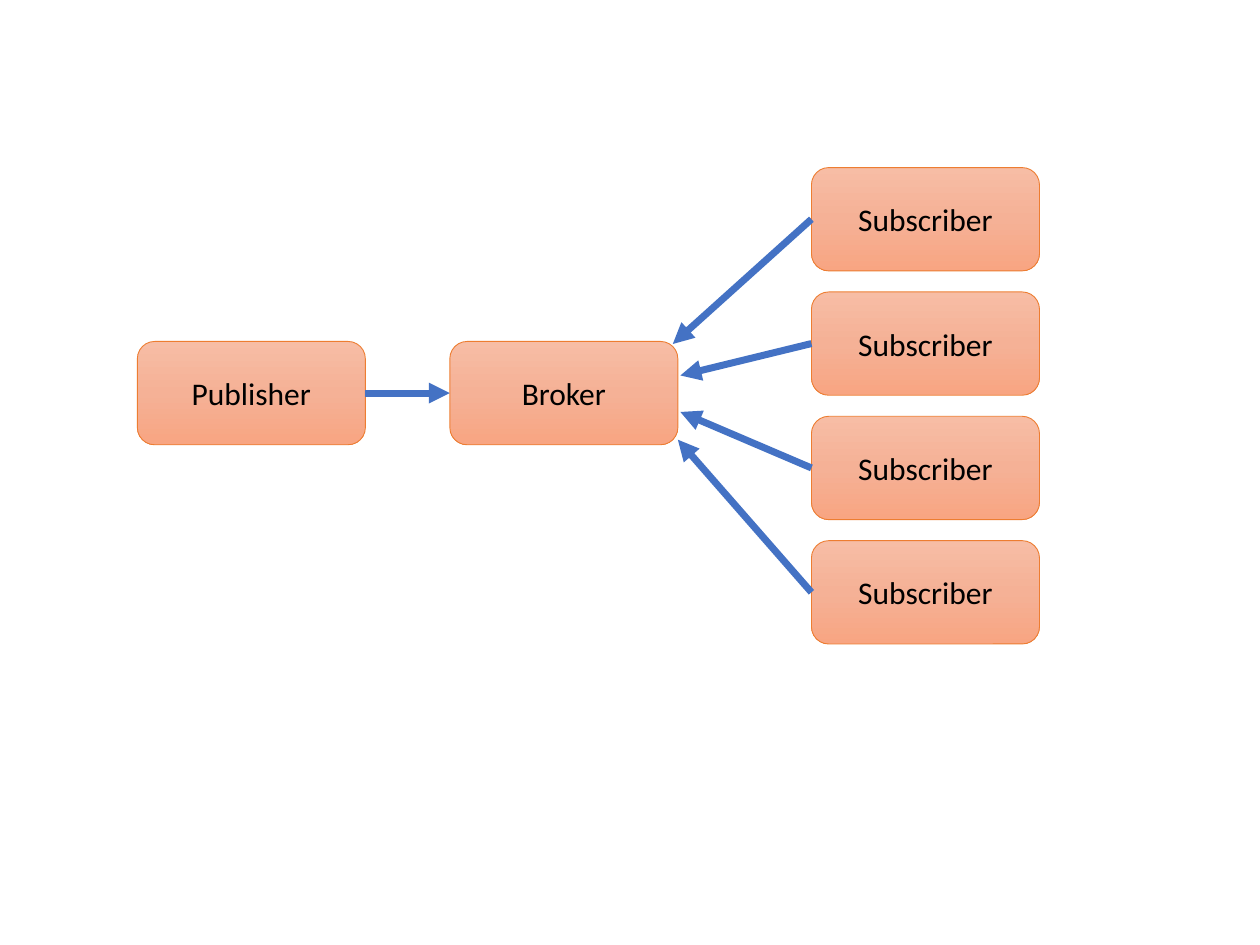
from copy import deepcopy

from pptx import Presentation
from pptx import util as u
from pptx.dml.color import RGBColor
from pptx.enum import shapes, text
from pptx.oxml.ns import qn
from pptx.oxml.xmlchemy import OxmlElement

GRADIENT = (RGBColor(0xF7, 0xBD, 0xA5), RGBColor(0xF5, 0xB1, 0x96), RGBColor(0xF8, 0xA5, 0x82))
ORANGE = RGBColor(0xED, 0x7D, 0x31)
BLUE = RGBColor(0x44, 0x72, 0xC4)
BLACK = RGBColor(0, 0, 0)

BOX_WIDTH, BOX_HEIGHT = 1.81, 0.82
BROKER_TOP = 2.71
SUBSCRIBER_LEFT, SUBSCRIBER_TOP, SUBSCRIBER_STEP = 6.44, 1.33, 0.987
ARROW_TARGETS = ((5.34, 2.73), (5.4, 2.98), (5.4, 3.27), (5.38, 3.49))
LEFT_SIDE, RIGHT_SIDE = 1, 3


def fill_gradient(shape):
    """Fill a shape with the three-stop gradient from top to bottom."""
    shape.fill.gradient()
    shape.fill.gradient_angle = 270
    first_stop = shape._element.spPr.find(qn("a:gradFill")).gsLst[0]
    first_stop.addnext(deepcopy(first_stop))
    for index, (stop, color) in enumerate(zip(shape.fill.gradient_stops, GRADIENT)):
        stop.position = index / 2
        stop.color.rgb = color


def add_box(slide, label, left, top):
    """Add a labelled rounded box and return it."""
    shape = slide.shapes.add_shape(
        shapes.MSO_SHAPE.ROUNDED_RECTANGLE,
        u.Inches(left), u.Inches(top), u.Inches(BOX_WIDTH), u.Inches(BOX_HEIGHT))
    shape.shadow.inherit = False
    fill_gradient(shape)
    shape.line.color.rgb = ORANGE
    shape.line.width = u.Pt(0.5)
    shape.text_frame.text = label
    shape.text_frame.vertical_anchor = text.MSO_ANCHOR.MIDDLE
    paragraph = shape.text_frame.paragraphs[0]
    paragraph.alignment = text.PP_ALIGN.CENTER
    paragraph.font.name = "Calibri"
    paragraph.font.size = u.Pt(18)
    paragraph.font.color.rgb = BLACK
    return shape


def add_arrow(slide, source, side, target=(0, 0)):
    """Add an arrow from the side of a box to a point and return it."""
    end_x, end_y = target
    connector = slide.shapes.add_connector(
        shapes.MSO_CONNECTOR.STRAIGHT, 0, 0, u.Inches(end_x), u.Inches(end_y))
    connector.begin_connect(source, side)
    connector.line.color.rgb = BLUE
    connector.line.width = u.Pt(4)
    head = OxmlElement("a:tailEnd")
    head.set("type", "triangle")
    connector.line._get_or_add_ln().append(head)
    connector._element.spPr.append(OxmlElement("a:effectLst"))
    return connector


def main():
    """Build the publisher, broker and subscriber diagram."""
    presentation = Presentation()
    presentation.slide_width = u.Inches(10)
    presentation.slide_height = u.Inches(7.5)
    slide = presentation.slides.add_slide(presentation.slide_layouts[6])

    publisher = add_box(slide, "Publisher", 1.09, BROKER_TOP)
    broker = add_box(slide, "Broker", 3.57, BROKER_TOP)
    subscribers = [
        add_box(slide, "Subscriber", SUBSCRIBER_LEFT, SUBSCRIBER_TOP + row * SUBSCRIBER_STEP)
        for row in range(len(ARROW_TARGETS))]

    add_arrow(slide, publisher, RIGHT_SIDE).end_connect(broker, LEFT_SIDE)
    for subscriber, target in zip(subscribers, ARROW_TARGETS):
        add_arrow(slide, subscriber, LEFT_SIDE, target)

    presentation.save("out.pptx")


if __name__ == "__main__":
    main()
